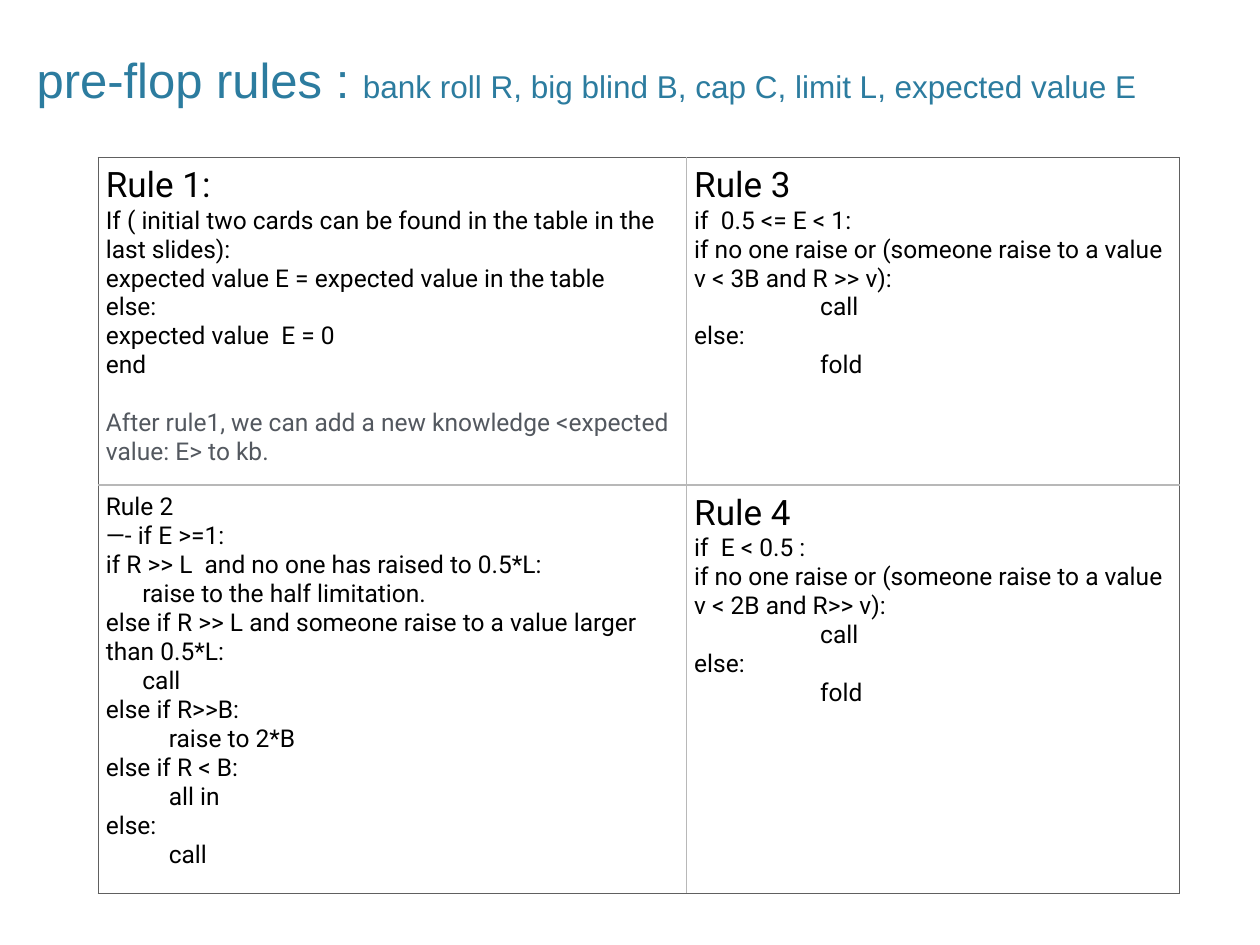
from pptx import Presentation
from pptx.dml.color import RGBColor
from pptx.enum.text import MSO_ANCHOR, MSO_AUTO_SIZE, PP_ALIGN
from pptx.oxml import parse_xml
from pptx.oxml.ns import nsdecls
from pptx.util import Inches, Pt

BOTTOM, TOP = MSO_ANCHOR.BOTTOM, MSO_ANCHOR.TOP
JUSTIFY, NO_FIT = PP_ALIGN.JUSTIFY, MSO_AUTO_SIZE.NONE

COLORS = {"title": "2C7C9F", "text": "000000", "note": "53585F",
          "outer": "606060", "inner": "B8B8B8", "cell": "FFFFFF"}
HALF_TAB, TAB = 0.29, 0.5
BLANK_LINE = 16.5


class RuleSlide:
    title_font, body_font = "Arial", "Roboto"
    heading_size, body_size = 20, 14
    cell_inset = 0.06

    def __init__(self, deck):
        self.slide = deck.slides.add_slide(deck.slide_layouts[5])

    def add_run(self, paragraph, text, font, size, color):
        run = paragraph.add_run()
        run.text = text
        run.font.name = font
        run.font.size = Pt(size)
        run.font.color.rgb = RGBColor.from_string(COLORS[color])

    def title(self, box, runs):
        heading = self.slide.shapes.title
        heading.left, heading.top, heading.width, heading.height = map(Inches, box)
        frame = heading.text_frame
        frame.word_wrap, frame.auto_size = True, NO_FIT
        frame.vertical_anchor = BOTTOM
        paragraph = frame.paragraphs[0]
        paragraph.alignment = JUSTIFY
        for text, size in runs:
            self.add_run(paragraph, text, self.title_font, size, "title")

    def borders(self, cell, sides):
        properties = cell._tc.get_or_add_tcPr()
        for position, (side, color) in enumerate(sides.items()):
            properties.insert(position, parse_xml(
                f'<a:{side} {nsdecls("a")} w="12700"><a:solidFill>'
                f'<a:srgbClr val="{COLORS[color]}"/></a:solidFill></a:{side}>'))

    def rule(self, cell, lines):
        """Each line is (text, options): size, indent, color and before."""
        cell.margin_left = cell.margin_right = Inches(self.cell_inset)
        cell.margin_top = cell.margin_bottom = Inches(self.cell_inset)
        cell.vertical_anchor = TOP
        cell.fill.solid()
        cell.fill.fore_color.rgb = RGBColor.from_string(COLORS["cell"])
        frame = cell.text_frame
        for number, (text, options) in enumerate(lines):
            paragraph = frame.add_paragraph() if number else frame.paragraphs[0]
            paragraph.space_before = Pt(options.get("before", 0))
            if "indent" in options:
                indent = Inches(options["indent"])
                paragraph._p.get_or_add_pPr().set("marL", str(indent))
            self.add_run(paragraph, text, self.body_font,
                         options.get("size", self.body_size),
                         options.get("color", "text"))

    def table(self, left, top, widths, heights, rules):
        rows, columns = len(heights), len(widths)
        grid = self.slide.shapes.add_table(
            rows, columns, Inches(left), Inches(top),
            Inches(sum(widths)), Inches(sum(heights))).table
        grid.first_row = grid.horz_banding = False
        for column, width in zip(grid.columns, widths):
            column.width = Inches(width)
        for row, height in zip(grid.rows, heights):
            row.height = Inches(height)
        for r in range(rows):
            for c in range(columns):
                self.rule(grid.cell(r, c), rules[r][c])
                edges = {"lnL": c == 0, "lnR": c == columns - 1,
                         "lnT": r == 0, "lnB": r == rows - 1}
                self.borders(grid.cell(r, c), {
                    side: "outer" if outside else "inner"
                    for side, outside in edges.items()})


def line(text, **options):
    return text, options


def call_or_fold(name, condition, test):
    return [line(name, size=RuleSlide.heading_size), line(condition), line(test),
            line("call", indent=2 * TAB), line("else:"),
            line("fold", indent=2 * TAB)]


deck = Presentation()
deck.slide_width, deck.slide_height = Inches(10), Inches(7.5)
preflop = RuleSlide(deck)

# Title
preflop.title((0.19, 0.29, 9.49, 0.62), [
    ("pre-flop rules : ", 28),
    ("bank roll R, big blind B, cap C, limit L, expected value E", 18)])

# Rules
expected_value = [
    line("Rule 1:", size=RuleSlide.heading_size),
    line("If ( initial two cards can be found in the table in the last slides):"),
    line("expected value E = expected value in the table"),
    line("else:"),
    line("expected value  E = 0"),
    line("end"),
    line("After rule1, we can add a new knowledge <expected value: E> to kb.",
         color="note", before=BLANK_LINE)]
strong_hand = [
    line("Rule 2"),
    line("—- if E >=1:"),
    line("if R >> L  and no one has raised to 0.5*L:"),
    line("raise to the half limitation.", indent=HALF_TAB),
    line("else if R >> L and someone raise to a value larger than 0.5*L:"),
    line("call", indent=HALF_TAB),
    line("else if R>>B:"),
    line("raise to 2*B", indent=TAB),
    line("else if R < B:"),
    line("all in", indent=TAB),
    line("else:"),
    line("call", indent=TAB)]
medium_hand = call_or_fold(
    "Rule 3", "if  0.5 <= E < 1:",
    "if no one raise or (someone raise to a value v < 3B and R >> v):")
weak_hand = call_or_fold(
    "Rule 4", "if  E < 0.5 :",
    "if no one raise or (someone raise to a value v < 2B and R>> v):")

# Table of rules
preflop.table(0.78, 1.25, [4.67, 3.91], [2.6, 3.24],
              [[expected_value, medium_hand], [strong_hand, weak_hand]])

deck.save("out.pptx")
